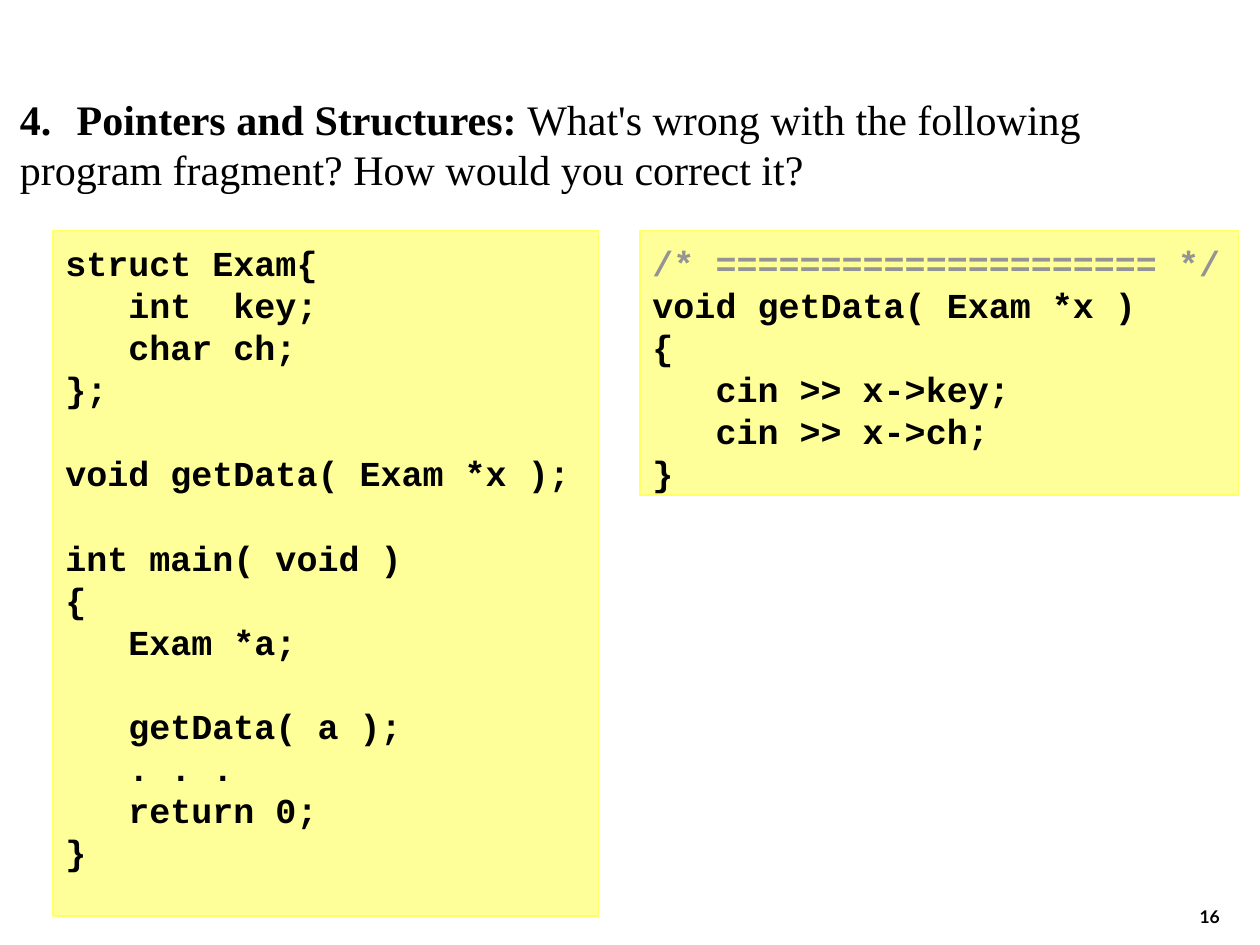
from pptx import Presentation
from pptx.dml.color import RGBColor
from pptx.enum.shapes import MSO_SHAPE
from pptx.enum.text import MSO_ANCHOR, PP_ALIGN
from pptx.util import Inches, Pt

RECTANGLE = MSO_SHAPE.RECTANGLE
TOP, BOTTOM = MSO_ANCHOR.TOP, MSO_ANCHOR.BOTTOM
LEFT, RIGHT = PP_ALIGN.LEFT, PP_ALIGN.RIGHT

SLIDE_WIDTH, SLIDE_HEIGHT = 10, 7.5
CODE_TOP = 1.83
BLACK, GREY = "000000", "949494"
PANEL_FILL, PANEL_LINE = "FFFF99", "FFFF66"

QUESTION_FONT = {"name": "Times New Roman", "size": Pt(24)}
CODE_FONT = {"name": "Courier New", "size": Pt(20), "bold": True}
NUMBER_FONT = {"name": "Lato", "size": Pt(10), "bold": True}

QUESTION = [
    [("4.\tPointers and Structures: ", True),
     ("What's wrong with the following", False)],
    [("program fragment? How would you correct it?", False)],
]

MAIN_PROGRAM = """struct Exam{
   int  key;
   char ch;
};

void getData( Exam *x );

int main( void )
{
   Exam *a;

   getData( a );
   . . .
   return 0;
}"""

GET_DATA = """/* ===================== */
void getData( Exam *x )
{
   cin >> x->key;
   cin >> x->ch;
}"""


def rgb(hex_color):
    return RGBColor.from_string(hex_color)


def style_font(font, color, **values):
    for name, value in values.items():
        setattr(font, name, value)
    font.color.rgb = rgb(color)


def add_text_box(slide, left, top, width, height, anchor=TOP):
    box = slide.shapes.add_textbox(
        Inches(left), Inches(top), Inches(width), Inches(height))
    frame = box.text_frame
    frame.word_wrap = True
    frame.vertical_anchor = anchor
    return frame


def add_lines(frame, lines, spacing=None):
    """Yield one paragraph of the frame with each line."""
    for index, line in enumerate(lines):
        paragraph = frame.add_paragraph() if index else frame.paragraphs[0]
        paragraph.alignment = LEFT
        paragraph.line_spacing = spacing
        yield paragraph, line


def add_question(slide):
    frame = add_text_box(slide, 0.06, 0.69, 9.71, 0.9)
    for paragraph, runs in add_lines(frame, QUESTION, Pt(28.8)):
        properties = paragraph._p.get_or_add_pPr()
        properties.set("marL", str(Inches(0.45)))
        properties.set("indent", str(-Inches(0.45)))
        for text, bold in runs:
            run = paragraph.add_run()
            run.text = text
            style_font(run.font, BLACK, bold=bold, **QUESTION_FONT)


def add_code_panel(slide, code, left, width, height):
    panel = slide.shapes.add_shape(
        RECTANGLE, Inches(left), Inches(CODE_TOP), Inches(width), Inches(height))
    panel.shadow.inherit = False
    panel.fill.solid()
    panel.fill.fore_color.rgb = rgb(PANEL_FILL)
    panel.line.color.rgb = rgb(PANEL_LINE)
    panel.line.width = Pt(0.75)
    frame = panel.text_frame
    frame.word_wrap = True
    frame.vertical_anchor = TOP
    frame.margin_top, frame.margin_bottom = Inches(0.09), 0
    for paragraph, line in add_lines(frame, code.split("\n"), Pt(24)):
        color = GREY if line.startswith("/*") else BLACK
        style_font(paragraph.font, color, **CODE_FONT)
        if line:
            run = paragraph.add_run()
            run.text = line
            style_font(run.font, color, **CODE_FONT)


def add_slide_number(slide, number):
    frame = add_text_box(slide, 7.7, 6.91, 2.08, 0.5, BOTTOM)
    paragraph = frame.paragraphs[0]
    paragraph.alignment = RIGHT
    run = paragraph.add_run()
    run.text = number
    style_font(run.font, BLACK, **NUMBER_FONT)


def main():
    presentation = Presentation()
    presentation.slide_width = Inches(SLIDE_WIDTH)
    presentation.slide_height = Inches(SLIDE_HEIGHT)
    slide = presentation.slides.add_slide(presentation.slide_layouts[6])
    add_slide_number(slide, "16")
    add_question(slide)
    add_code_panel(slide, MAIN_PROGRAM, left=0.42, width=4.33, height=5.44)
    add_code_panel(slide, GET_DATA, left=5.08, width=4.75, height=2.1)
    presentation.save("out.pptx")


if __name__ == "__main__":
    main()
